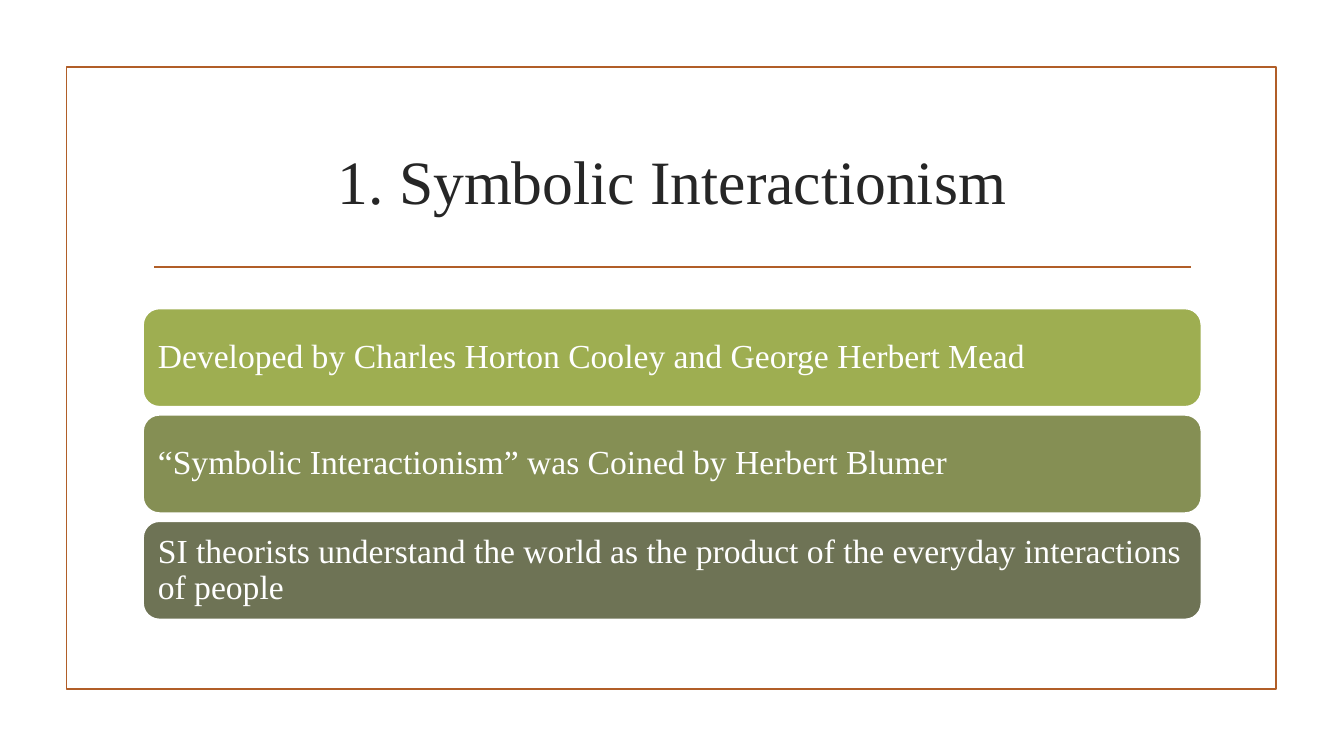
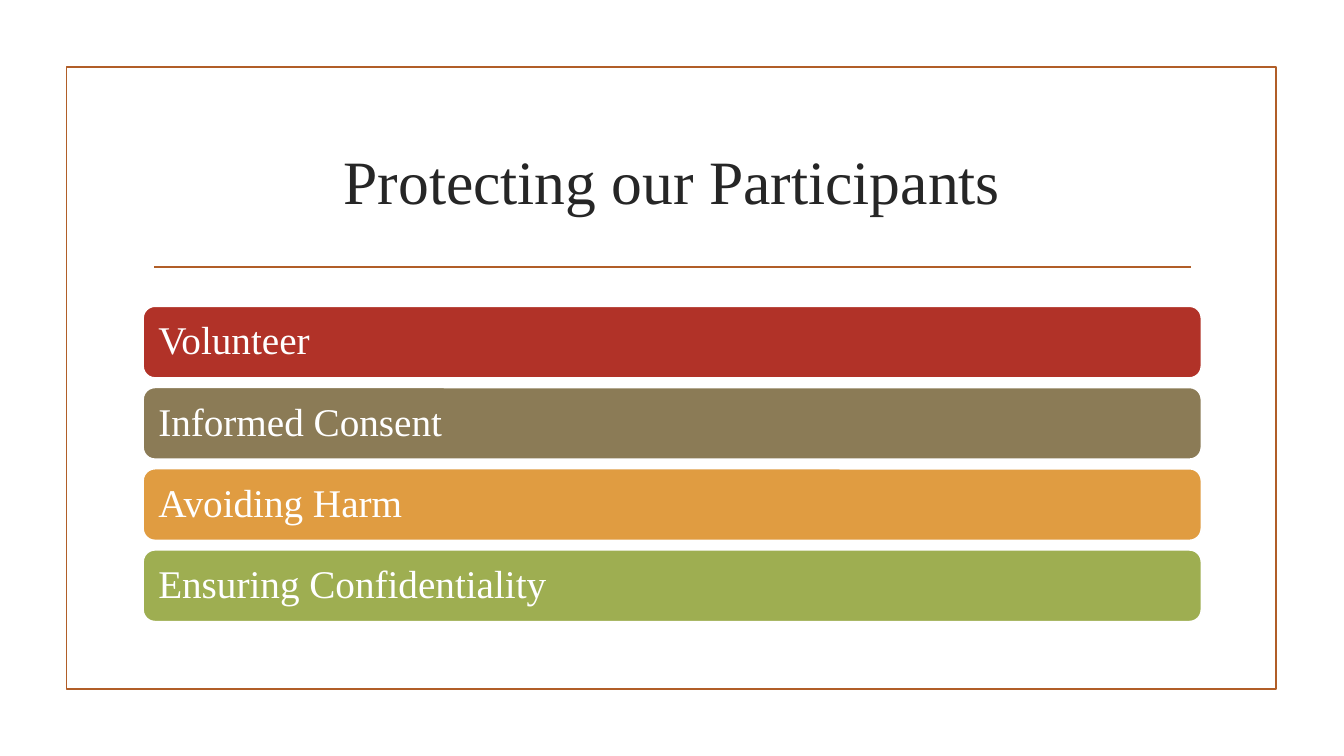
from lxml import etree
from pptx import Presentation
from pptx.dml import color
from pptx.enum import shapes, text
from pptx.util import Pt

# Shared style
FONT = "Times New Roman"
INK, RUST, WHITE = "262626", "B15E28", "FFFFFF"
LEFT, WIDTH = 102.2, 756   # column of title and bars
MID = 331.4                # centre height of the bar stack


def rgb(code):
    return color.RGBColor.from_string(code)


class Deck:
    def __init__(self):
        self.prs = Presentation()
        self.prs.slide_width, self.prs.slide_height = Pt(960), Pt(540)
        self.slide = None

    def start(self, title):
        """Add a slide with frame, rule and title."""
        self.slide = self.prs.slides.add_slide(self.prs.slide_layouts[5])
        self.frame()
        self.rule()
        self.title(title)

    def stroke(self, line, code):
        line.color.rgb = rgb(code)
        line.width = Pt(1.25)

    def style(self, para, size, code, align):
        para.alignment = align
        para.font.name = FONT
        para.font.size = Pt(size)
        para.font.color.rgb = rgb(code)

    def shape(self, kind, left, top, width, height, line):
        item = self.slide.shapes.add_shape(
            kind, Pt(left), Pt(top), Pt(width), Pt(height))
        item.shadow.inherit = False
        self.stroke(item.line, line)
        return item

    def frame(self):
        kind = shapes.MSO_SHAPE.RECTANGLE
        self.shape(kind, 47.6, 48, 864, 444.2, RUST).fill.background()

    def rule(self):
        line = self.slide.shapes.add_connector(
            shapes.MSO_CONNECTOR.STRAIGHT,
            Pt(110.2), Pt(190.8), Pt(850.4), Pt(190.8))
        self.stroke(line.line, RUST)
        props = line._element.spPr
        etree.SubElement(props, props.getparent().nsmap["a"].join("{}") + "effectLst")

    def title(self, words):
        box = self.slide.shapes.title
        box.left, box.top = Pt(LEFT), Pt(77)
        box.width, box.height = Pt(WIDTH), Pt(103)
        box.text_frame.text = words
        box.text_frame.vertical_anchor = text.MSO_ANCHOR.MIDDLE
        self.style(box.text_frame.paragraphs[0], 44, INK, text.PP_ALIGN.CENTER)

    def bar(self, words, fill, top, height, size):
        item = self.shape(shapes.MSO_SHAPE.ROUNDED_RECTANGLE,
                          LEFT, top, WIDTH, height, WHITE)
        item.fill.solid()
        item.fill.fore_color.rgb = rgb(fill)
        body = item.text_frame
        body.word_wrap = True
        body.vertical_anchor = text.MSO_ANCHOR.MIDDLE
        body.margin_left = body.margin_right = Pt(0.3 * size)
        body.margin_top = body.margin_bottom = Pt(0.3 * size)
        body.text = words
        para = body.paragraphs[0]
        para.line_spacing = 0.9
        self.style(para, size, WHITE, text.PP_ALIGN.LEFT)

    def stack(self, bars, height, size):
        """Centre equal bars on MID; the gap follows the text size."""
        step = height + 0.24 * size
        top = MID - (step * (len(bars) - 1) + height) / 2
        for i, (words, fill) in enumerate(bars):
            self.bar(words, fill, top + i * step, height, size)


def main():
    deck = Deck()

    # Theory
    deck.start("1. Symbolic Interactionism")
    deck.stack([
        ("Developed by Charles Horton Cooley and George Herbert Mead", "9EAE51"),
        ("“Symbolic Interactionism” was Coined by Herbert Blumer", "858F54"),
        ("SI theorists understand the world as the product of the "
         "everyday interactions of people", "6E7355"),
    ], 70.2, 24)

    # Research ethics
    deck.start("Protecting our Participants")
    deck.stack([
        ("Volunteer", "B13228"),
        ("Informed Consent", "8B7B56"),
        ("Avoiding Harm", "E09C41"),
        ("Ensuring Confidentiality", "9EAE51"),
    ], 51.3, 28)

    deck.prs.save("out.pptx")


if __name__ == "__main__":
    main()
